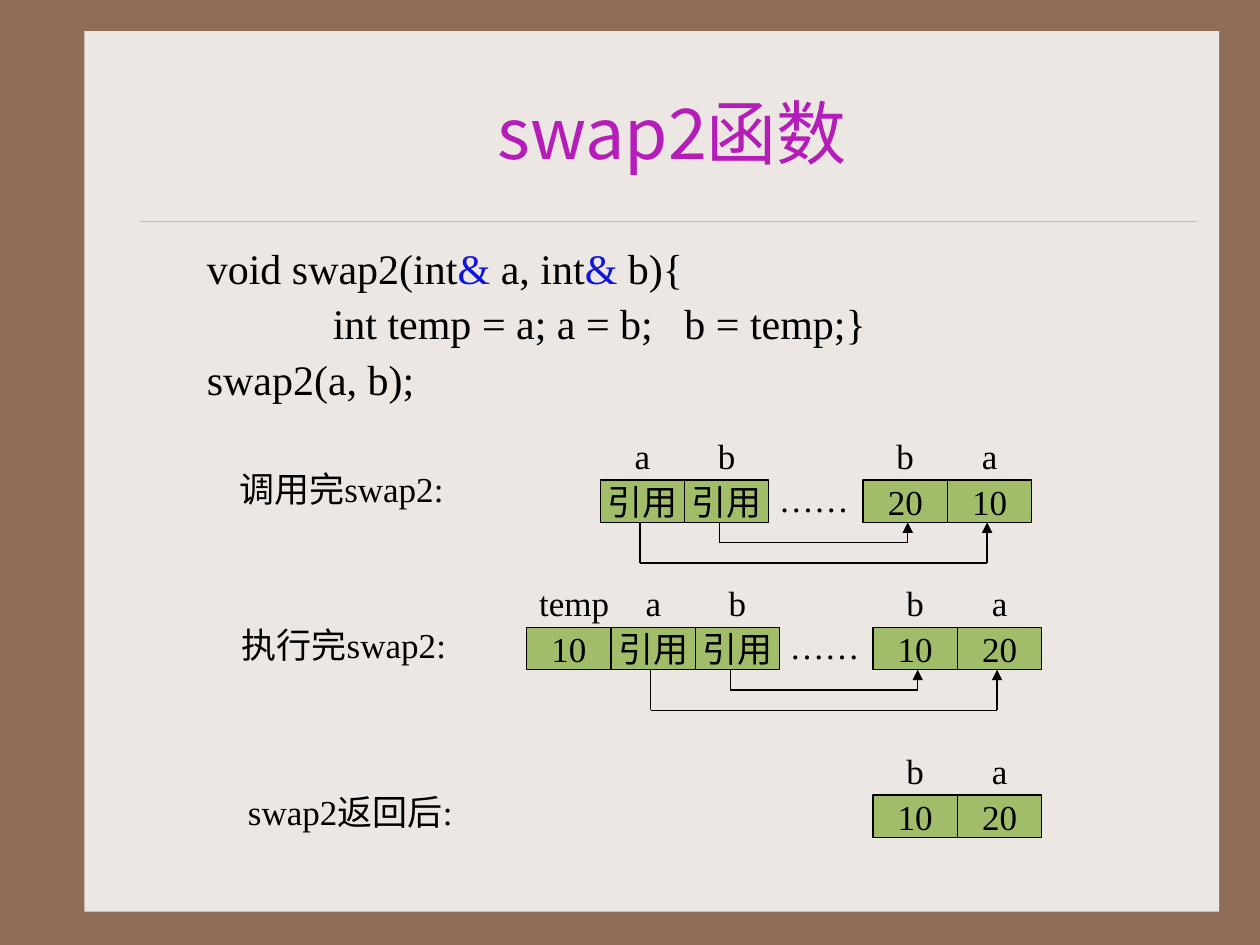
from lxml.etree import SubElement
from pptx import Presentation
from pptx.dml.color import RGBColor
from pptx.enum.shapes import MSO_CONNECTOR as Link, MSO_SHAPE as Kind
from pptx.enum.text import (MSO_ANCHOR as Anchor, MSO_AUTO_SIZE as Fit,
                            PP_ALIGN as Align)
from pptx.oxml.ns import qn
from pptx.util import Cm, Pt

SERIF, SANS = "Times New Roman", "Noto Sans CJK SC"
INK, BLUE = "000000", "1015DC"
CELL_W, CELL_H, TEXT_H = 1.7, 0.85, 1.12
NAME_W = {"a": 0.81, "b": 0.86, "temp": 1.95}
LABEL = {"word_wrap": False, "auto_size": Fit.SHAPE_TO_FIT_TEXT}
BLOCK = {"word_wrap": True, "auto_size": Fit.NONE}
MIDDLE = {"vertical_anchor": Anchor.MIDDLE}


def color(code):
    return RGBColor.from_string(code)


def assign(target, values):
    for key, value in values.items():
        setattr(target, key, value)


class Page:
    """Holds the text style and the slide being drawn."""

    def __init__(self, deck, back):
        self.style = {"name": SERIF, "size": Pt(20)}
        self.slide = deck.slides.add_slide(deck.slide_layouts[6])
        fill = self.slide.background.fill
        fill.solid()
        fill.fore_color.rgb = color(back)

    def run(self, para, text, tint=INK, **style):
        run = para.add_run()
        run.text = text
        assign(run.font, {**self.style, **style})
        run.font.color.rgb = color(tint)
        SubElement(run._r.get_or_add_rPr(), qn("a:ea"), typeface=SANS)

    def text(self, x, y, w, h, words="", tint=INK, align=Align.LEFT,
             frame=LABEL, **style):
        box = self.slide.shapes.add_textbox(Cm(x), Cm(y), Cm(w), Cm(h))
        body = box.text_frame
        assign(body, frame)
        para = body.paragraphs[0]
        para.alignment = align
        if words:
            self.run(para, words, tint, **style)
        return body

    def rect(self, x, y, w, h, fill, edge=None):
        shape = self.slide.shapes.add_shape(
            Kind.RECTANGLE, Cm(x), Cm(y), Cm(w), Cm(h))
        shape.shadow.inherit = False
        shape.fill.solid()
        shape.fill.fore_color.rgb = color(fill)
        if edge:
            shape.line.color.rgb = color(edge)
            shape.line.width = Pt(0.75)
        else:
            shape.line.fill.background()
        return shape

    def line(self, start, end, tint=INK, width=0.75, head=False):
        link = self.slide.shapes.add_connector(
            Link.STRAIGHT, *map(Cm, start + end))
        link.line.color.rgb = color(tint)
        link.line.width = Pt(width)
        if head:
            SubElement(link.line._get_or_add_ln(), qn("a:tailEnd"),
                       type="triangle")
        SubElement(link._element.spPr, qn("a:effectLst"))

    def cells(self, x, y, items):
        """Draw a run of memory cells, each with its variable name above."""
        for i, (name, value) in enumerate(items):
            left = x + i * CELL_W
            body = self.rect(left, y, CELL_W, CELL_H, "A1BD69", INK).text_frame
            assign(body, {"word_wrap": False, **MIDDLE})
            body.paragraphs[0].alignment = Align.CENTER
            self.run(body.paragraphs[0], value)
            wide = NAME_W[name]
            self.text(left + max(0, (CELL_W - wide) / 2), y - 1.05,
                      wide, TEXT_H, name)

    def bend(self, x1, x2, y, drop):
        """Draw a reference: down, across, and up to an arrowhead."""
        low = y + drop
        spots = [(x1, y), (x1, low), (x2, low), (x2, y)]
        for i in range(3):
            self.line(spots[i], spots[i + 1], head=i == 2)

    def refs(self, x, far, y):
        """Draw the reference cells a and b, the dots and both arrows."""
        self.cells(x, y, [("a", "引用"), ("b", "引用")])
        self.text(x + 2 * CELL_W - 0.05, y - 0.18, 1.95, TEXT_H, "……")
        base = y + CELL_H
        self.bend(x + 2.4, far + 0.9, base, 0.41)
        self.bend(x + 0.8, far + 2.5, base, 0.82)

    def code(self, x, y, w, h, lines):
        body = self.text(x, y, w, h, frame=BLOCK)
        for i, (inset, parts) in enumerate(lines):
            para = body.add_paragraph() if i else body.paragraphs[0]
            para.line_spacing = 0.9
            if i:
                para.space_before = Pt(6)
            para._p.get_or_add_pPr().set("marL", str(Cm(inset)))
            for part in parts:
                self.run(para, part, BLUE if part == "&" else INK, size=Pt(24))


def main():
    deck = Presentation()
    assign(deck, {"slide_width": Cm(25.4), "slide_height": Cm(19.05)})
    page = Page(deck, "906D58")
    page.rect(1.7, 0.63, 22.88, 17.75, "EDE7E3")
    page.line((2.82, 4.45), (24.13, 4.45), "CBBD83", 0.25)
    page.text(2.97, 1.07, 21.16, 3.18, "swap2函数", "B51DB9", Align.CENTER,
              {**BLOCK, **MIDDLE}, name=SANS, size=Pt(40))
    page.code(2.97, 4.87, 21.16, 3.45, [
        (0.95, ["void swap2(int", "&", " a, int", "&", " b){"]),
        (3.49, ["int temp = a; a = b;   b = temp;}"]),
        (0.95, ["swap2(a, b);"]),
    ])

    for x, y, w, words in [(4.57, 9.3, 4.8, "调用完swap2:"),
                           (4.62, 12.45, 4.8, "执行完swap2:"),
                           (4.75, 15.82, 4.95, "swap2返回后:")]:
        page.text(x, y, w, TEXT_H, words)

    for x, y, old, new in [(17.4, 9.68, "20", "10"),
                           (17.6, 12.65, "10", "20"),
                           (17.6, 16.03, "10", "20")]:
        page.cells(x, y, [("b", old), ("a", new)])

    page.refs(12.1, 17.4, 9.68)
    page.refs(12.32, 17.6, 12.65)
    page.cells(12.32 - CELL_W, 12.65, [("temp", "10")])
    deck.save("out.pptx")


if __name__ == "__main__":
    main()
